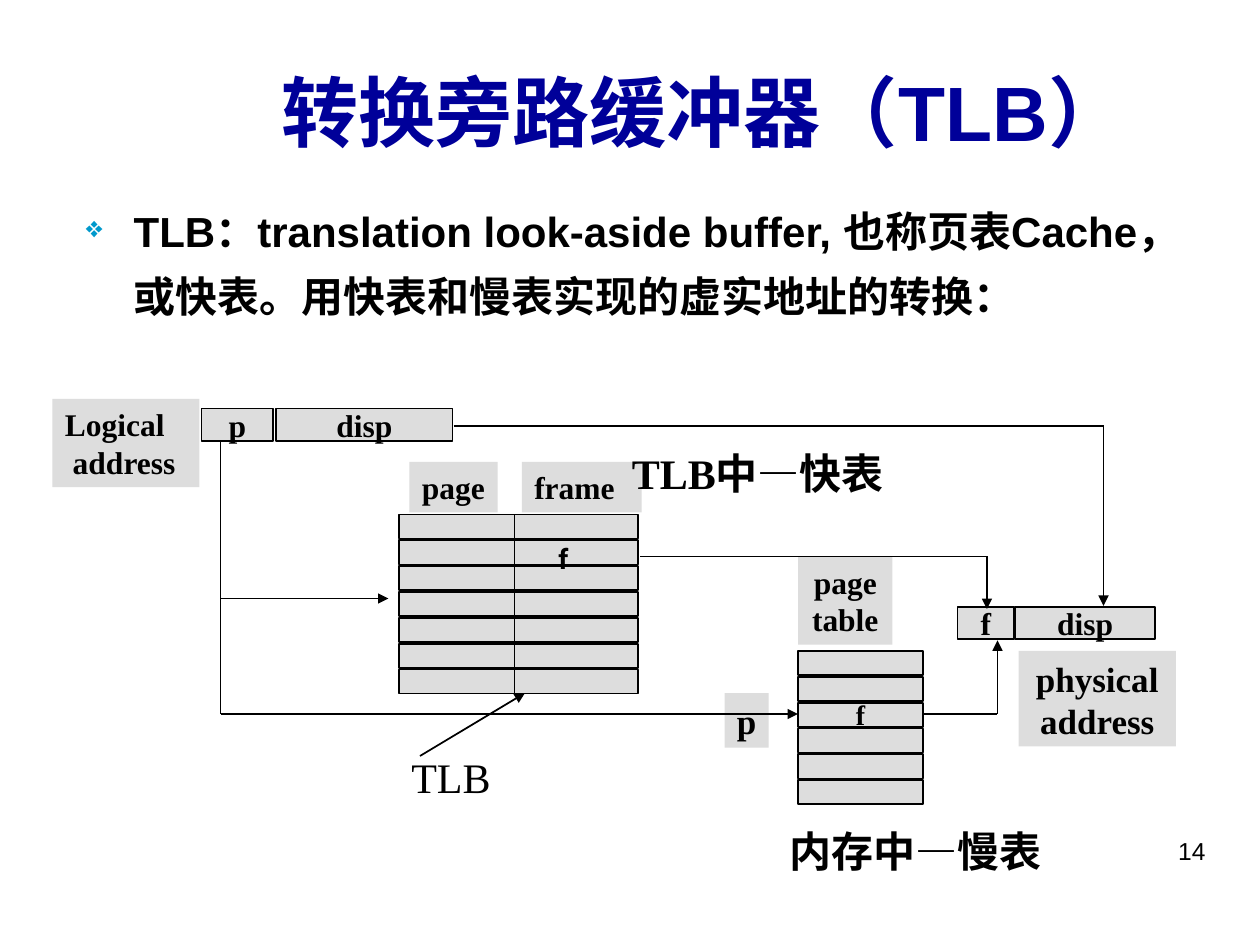
from dataclasses import dataclass
from itertools import pairwise

from lxml import etree
from pptx import Presentation
from pptx import util as u
from pptx.dml.color import RGBColor
from pptx.enum import shapes, text
from pptx.oxml import ns


@dataclass(frozen=True)
class Theme:
    ink: RGBColor = RGBColor(0, 0, 0)
    title: RGBColor = RGBColor(0, 0, 0x99)
    panel: RGBColor = RGBColor(0xDD, 0xDD, 0xDD)
    bullet: str = "0099CC"
    sans: str = "Arial"
    serif: str = "Times New Roman"
    mono_f: str = "Roboto"
    title_size: int = 44
    body_size: int = 24
    body_end_size: int = 32
    big_label: int = 20
    label: int = 18
    small: int = 16
    number: int = 14
    box_line: float = 1
    thin_line: float = 0.75


THEME = Theme()
LEFT, CENTER, RIGHT = text.PP_ALIGN.LEFT, text.PP_ALIGN.CENTER, text.PP_ALIGN.RIGHT
TOP, MIDDLE = text.MSO_ANCHOR.TOP, text.MSO_ANCHOR.MIDDLE
COLUMNS, ROWS = 120, 90          # slide grid, twelve units to the inch
ROW_HEIGHT, ROW_PITCH = 2.3, 2.46  # rows of the two lookup tables


def grid(*units):
    return [u.Inches(unit / 12) for unit in units]


def add_run(paragraph, words, size, font=THEME.serif, bold=True, color=THEME.ink):
    run = paragraph.add_run()
    run.text = words
    run.font.size = u.Pt(size)
    run.font.name = font
    run.font.bold = bold
    run.font.color.rgb = color


def write(shape, words, size, align=LEFT, anchor=TOP, wrap=True, **style):
    """Fill a shape with one paragraph per line of words."""
    frame = shape.text_frame
    frame.word_wrap = wrap
    frame.vertical_anchor = anchor
    for index, line in enumerate(words.split("\n")):
        paragraph = frame.add_paragraph() if index else frame.paragraphs[0]
        paragraph.alignment = align
        add_run(paragraph, line, size, **style)


def add_text(slide, place, words, size, **style):
    write(slide.shapes.add_textbox(*grid(*place)), words, size, **style)


def add_panel(slide, place, outlined=False):
    shape = slide.shapes.add_shape(shapes.MSO_SHAPE.RECTANGLE, *grid(*place))
    shape.shadow.inherit = False
    shape.fill.solid()
    shape.fill.fore_color.rgb = THEME.panel
    if outlined:
        shape.line.color.rgb = THEME.ink
        shape.line.width = u.Pt(THEME.box_line)
    else:
        shape.line.fill.background()
    return shape


def add_label(slide, place, words, size=THEME.label, **style):
    write(add_panel(slide, place), words, size, **style)


def add_field(slide, place, words, size=THEME.label):
    write(add_panel(slide, place, outlined=True), words, size,
          align=CENTER, anchor=MIDDLE, wrap=False)


def add_route(slide, *points, width=THEME.thin_line, arrow=True):
    """Join the points with straight lines, the last one with an arrowhead."""
    for start, end in pairwise(points):
        connector = slide.shapes.add_connector(
            shapes.MSO_CONNECTOR.STRAIGHT, *grid(*start, *end))
        connector.line.color.rgb = THEME.ink
        connector.line.width = u.Pt(width)
        if arrow and end == points[-1]:
            etree.SubElement(connector.line._get_or_add_ln(),
                             ns.qn("a:tailEnd"), type="triangle")
        etree.SubElement(connector._element.spPr, ns.qn("a:effectLst"))


def add_rows(slide, left, top, width, count, divider=None, entries=None):
    """Stack table rows, with an optional column divider and row entries."""
    for index in range(count):
        y = top + index * ROW_PITCH
        place = (left, y, width, ROW_HEIGHT)
        if entries and index in entries:
            add_field(slide, place, entries[index], THEME.small)
        else:
            add_panel(slide, place, outlined=True)
        if divider:
            add_route(slide, (divider, y), (divider, y + ROW_HEIGHT),
                      width=THEME.box_line, arrow=False)


def add_title(slide):
    title = slide.shapes.title
    title.left, title.top, title.width, title.height = grid(18, 5, 98, 11)
    write(title, "转换旁路缓冲器（TLB）", THEME.title_size, align=CENTER,
          anchor=MIDDLE, font=THEME.sans, color=THEME.title)


def add_body(slide):
    frame = slide.shapes.add_textbox(*grid(7, 19, 109, 15)).text_frame
    frame.word_wrap = True
    paragraph = frame.paragraphs[0]
    properties = paragraph._p.get_or_add_pPr()
    properties.set("marL", str(u.Inches(0.38)))
    properties.set("indent", str(u.Inches(-0.38)))
    color = etree.SubElement(properties, ns.qn("a:buClr"))
    etree.SubElement(color, ns.qn("a:srgbClr"), val=THEME.bullet)
    etree.SubElement(properties, ns.qn("a:buSzPct"), val="70000")
    etree.SubElement(properties, ns.qn("a:buChar"), char="❖")
    add_run(paragraph, "TLB：translation look-aside buffer, 也称页表Cache，"
            "或快表。用快表和慢表实现的虚实地址的转换：", THEME.body_size, THEME.sans)
    add_run(paragraph, " ", THEME.body_end_size, THEME.sans)


def add_addresses(slide):
    # Logical address
    add_label(slide, (5, 38, 14, 8.4), "Logical\n address")
    add_field(slide, (19.2, 38.9, 6.8, 3.1), "p")
    add_field(slide, (26.3, 38.9, 16.8, 3.1), "disp")
    # Physical address
    add_field(slide, (91.2, 57.8, 5.4, 3.1), "f")
    add_field(slide, (96.7, 57.8, 13.3, 3.1), "disp")
    add_label(slide, (97, 62, 15, 9.1), "physical\naddress", THEME.big_label,
              align=CENTER)


def add_lookup_tables(slide):
    # Fast table
    add_rows(slide, 38, 49, 22.8, 7, divider=49)
    add_label(slide, (39, 44, 8.4, 4.8), "page", wrap=False)
    add_label(slide, (49.7, 44, 11.4, 4.8), "frame")
    add_text(slide, (52, 51, 6, 4.4), "f", THEME.small, font=THEME.mono_f)
    # Slow table
    add_label(slide, (69, 66, 4.2, 5.2), "p", THEME.big_label, wrap=False)
    add_label(slide, (76, 53, 9, 8.4), "page\ntable", align=CENTER)
    add_rows(slide, 76, 62, 11.9, 6, entries={2: "f"})


def add_routes(slide):
    add_route(slide, (43.2, 40.6), (105.1, 40.6), (105.1, 57.7),
              width=THEME.box_line)                      # displacement
    add_route(slide, (21, 42), (21, 68), (76, 68))       # page to slow table
    add_route(slide, (21, 57), (37, 57))                 # page to fast table
    add_route(slide, (61, 53), (94, 53), (94, 58))       # frame from fast table
    add_route(slide, (88, 68), (95, 68), (95, 61))       # frame from slow table
    add_route(slide, (40, 72), (50, 66), width=THEME.box_line)


def add_captions(slide):
    add_text(slide, (38, 71, 13, 6), "TLB", THEME.body_size, bold=False)
    add_text(slide, (59, 42, 28, 6), "TLB中—快表", THEME.body_size)
    add_text(slide, (74, 78, 29, 6), "内存中—慢表", THEME.body_size)
    add_text(slide, (86, 79, 30, 6.2), "14", THEME.number, align=RIGHT,
             font=THEME.sans, bold=False)


def main():
    presentation = Presentation()
    presentation.slide_width, presentation.slide_height = grid(COLUMNS, ROWS)
    slide = presentation.slides.add_slide(presentation.slide_layouts[5])
    add_title(slide)
    add_body(slide)
    add_addresses(slide)
    add_lookup_tables(slide)
    add_routes(slide)
    add_captions(slide)
    presentation.save("out.pptx")


if __name__ == "__main__":
    main()
